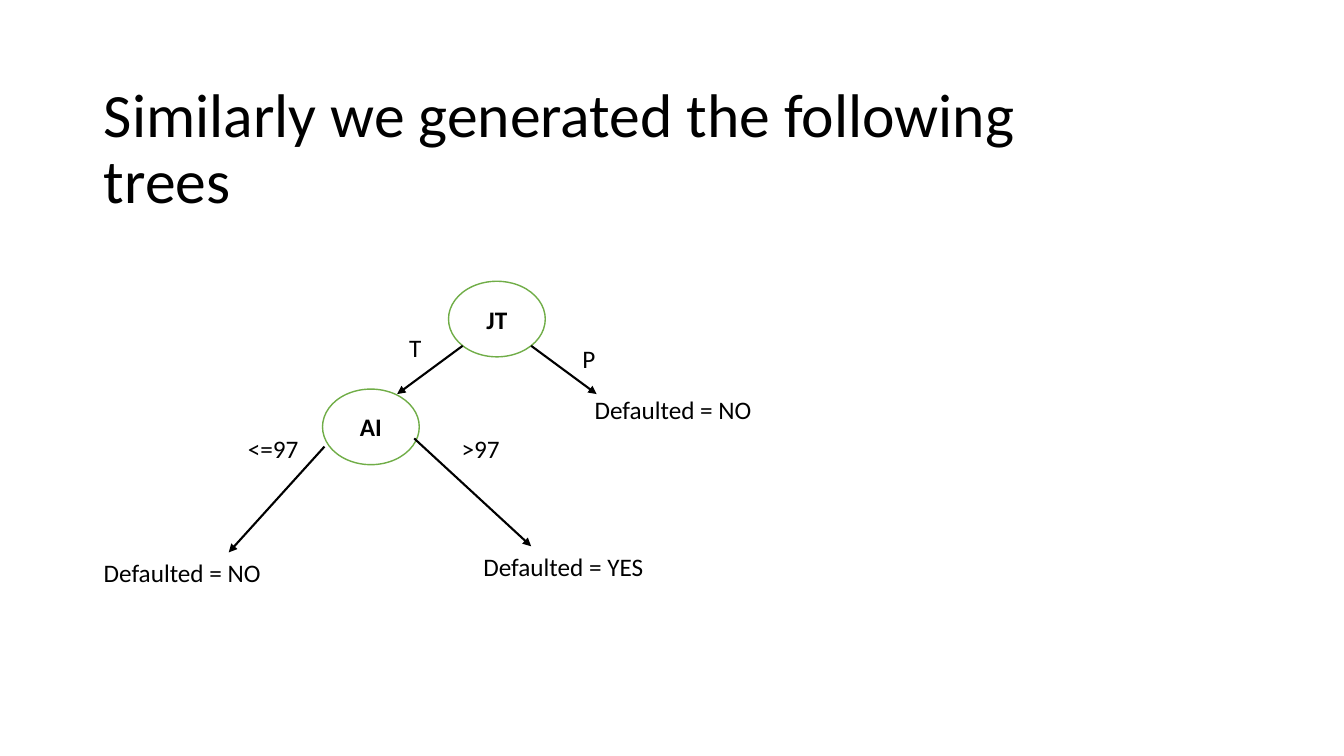
from dataclasses import dataclass

from lxml.etree import SubElement
from pptx import Presentation
from pptx.dml.color import RGBColor
from pptx.enum.shapes import MSO_CONNECTOR, MSO_SHAPE
from pptx.enum.text import MSO_ANCHOR, MSO_AUTO_SIZE, PP_ALIGN
from pptx.oxml.ns import qn
from pptx.util import Pt

TITLE = "Similarly we generated the following trees"
TITLE_AREA = (67, 48.2, 672, 118.8)

LEVELS = [
    {
        "node": ("JT", 320.4, 200.9),
        "arrows": [(330.5, 247, 283.7, 281.5), (379.4, 247, 426.2, 281.5)],
        "labels": [
            ("P", 409, 241.9, 24.5, PP_ALIGN.LEFT),
            ("T", 285.1, 234, 23, PP_ALIGN.LEFT),
            ("Defaulted = NO", 417.6, 277.9, 128.2, PP_ALIGN.LEFT),
        ],
    },
    {
        "node": ("AI", 230.4, 277.9),
        "arrows": [(231.8, 319, 163.4, 394.6), (295.9, 313.2, 379.4, 390.2)],
        "labels": [
            ("<=97", 169.9, 306, 51.1, PP_ALIGN.LEFT),
            (">97", 322.6, 306, 41.8, PP_ALIGN.LEFT),
            ("Defaulted = NO", 67, 394.6, 128.2, PP_ALIGN.LEFT),
            ("Defaulted = YES", 314.6, 390.2, 175.7, PP_ALIGN.CENTER),
        ],
    },
]

NODE_SIZE = (69.1, 54)
LABEL_HEIGHT = 29


@dataclass(frozen=True)
class Theme:
    font: str = "Calibri"
    ink: RGBColor = RGBColor(0, 0, 0)
    paper: RGBColor = RGBColor(255, 255, 255)
    outline: RGBColor = RGBColor(0x70, 0xAD, 0x47)
    title_size: float = 44
    body_size: float = 18
    outline_width: float = 1
    arrow_width: float = 1.5


THEME = Theme()


def points(*lengths):
    return [Pt(length) for length in lengths]


def write(frame, text, size, align, bold=False):
    frame.text = text
    para = frame.paragraphs[0]
    para.alignment = align
    para.font.name = THEME.font
    para.font.size = Pt(size)
    para.font.color.rgb = THEME.ink
    para.font.bold = bold
    return para


def add_title(page):
    title = page.shapes.title
    title.left, title.top, title.width, title.height = points(*TITLE_AREA)
    frame = title.text_frame
    frame.auto_size = MSO_AUTO_SIZE.NONE
    frame.vertical_anchor = MSO_ANCHOR.MIDDLE
    para = write(frame, TITLE, THEME.title_size, PP_ALIGN.LEFT)
    para.line_spacing = 0.9


def add_node(page, name, left, top):
    node = page.shapes.add_shape(
        MSO_SHAPE.FLOWCHART_CONNECTOR, *points(left, top, *NODE_SIZE))
    node.shadow.inherit = False
    node.fill.solid()
    node.fill.fore_color.rgb = THEME.paper
    node.line.color.rgb = THEME.outline
    node.line.width = Pt(THEME.outline_width)
    node.text_frame.vertical_anchor = MSO_ANCHOR.MIDDLE
    write(node.text_frame, name, THEME.body_size, PP_ALIGN.CENTER, bold=True)


def add_arrow(page, *ends):
    arrow = page.shapes.add_connector(MSO_CONNECTOR.STRAIGHT, *points(*ends))
    arrow.line.color.rgb = THEME.ink
    arrow.line.width = Pt(THEME.arrow_width)
    SubElement(arrow.line._get_or_add_ln(), qn("a:tailEnd"), type="triangle")
    SubElement(arrow._element.spPr, qn("a:effectLst"))


def add_label(page, text, left, top, width, align):
    box = page.shapes.add_textbox(*points(left, top, width, LABEL_HEIGHT))
    box.text_frame.word_wrap = align == PP_ALIGN.CENTER
    box.text_frame.auto_size = MSO_AUTO_SIZE.SHAPE_TO_FIT_TEXT
    write(box.text_frame, text, THEME.body_size, align)


def main():
    deck = Presentation()
    deck.slide_width, deck.slide_height = points(960, 540)
    page = deck.slides.add_slide(deck.slide_layouts.get_by_name("Title Only"))
    add_title(page)
    for level in LEVELS:
        add_node(page, *level["node"])
        for ends in level["arrows"]:
            add_arrow(page, *ends)
        for label in level["labels"]:
            add_label(page, *label)
    deck.save("out.pptx")


if __name__ == "__main__":
    main()
